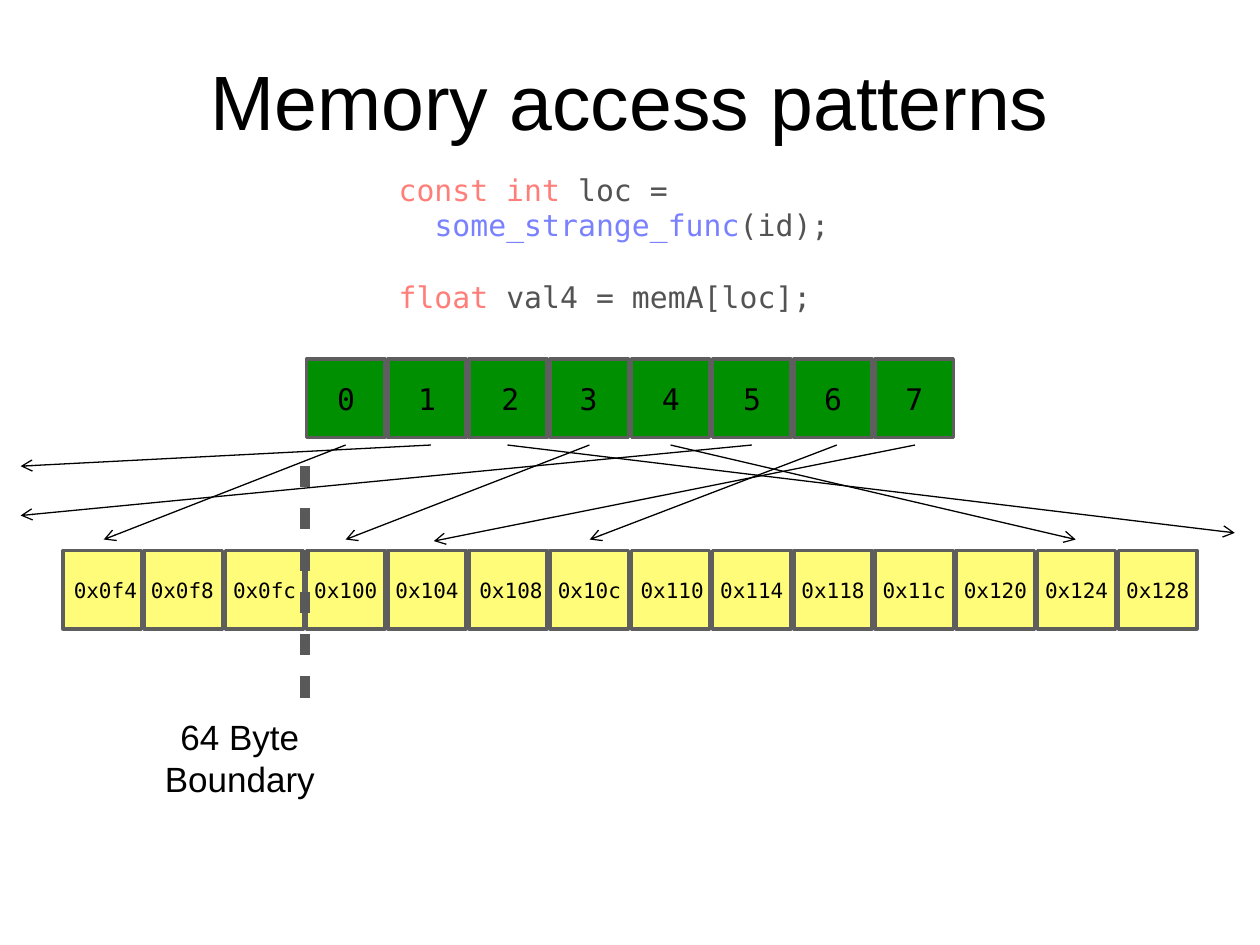
from dataclasses import dataclass

from lxml import etree
from pptx import Presentation
from pptx import util as u
from pptx.dml.color import RGBColor
from pptx.enum import shapes, text
from pptx.oxml import ns

COLOURS = {
    "black": "000000",
    "code": "535353",
    "keyword": "FF7E79",
    "function": "7A81FF",
    "border": "5E5E5E",
    "boundary": "595959",
    "thread": "008F00",
    "memory": "FFFC79",
}
SANS, MONO = "Arial", "DejaVu Sans Mono"
LEFT, PITCH, CELL = 36, 46.4, 44.8
FIRST_THREAD = 3
ARROW_START = 254.3


@dataclass(frozen=True)
class Row:
    labels: tuple[str, ...]
    first: int
    top: float
    fill: str
    size: float
    label_width: float
    label_height: float


@dataclass(frozen=True)
class Line:
    start: tuple[float, float]
    end: tuple[float, float]
    colour: str = "black"
    width: float = 0.75


@dataclass(frozen=True)
class CodeLine:
    spans: tuple[tuple[str, str], ...]
    space_before: float = 0


THREADS = Row(tuple("01234567"), FIRST_THREAD, 205.2, "thread", 17, 16, 26)
MEMORY = Row(
    tuple(f"0x{address:03x}" for address in range(0x0F4, 0x12C, 4)),
    0, 314.6, "memory", 12, 42.5, 20,
)
NUDGES = {"2": 1.1, "3": -0.6, "0x0f4": 1.8, "0x0f8": -0.6, "0x108": 1.6, "0x110": 0.9}
BOUNDARY = Line((174.4, 266.4), (174.4, 407.5), "boundary", 6)
ACCESSES = tuple(
    Line((start, ARROW_START), end)
    for start, end in (
        (197.5, (59.3, 308.3)),
        (290, (705.6, 304.5)),
        (246.2, (11.8, 266.4)),
        (336.8, (197.5, 308.3)),
        (383.2, (614.7, 308.3)),
        (429.6, (11.8, 294.6)),
        (478.2, (337, 308.3)),
        (522.9, (247.9, 309.2)),
    )
)
CODE = (
    CodeLine((("const int", "keyword"), (" loc =", "code"))),
    CodeLine((("  ", "code"), ("some_strange_func", "function"), ("(id);", "code"))),
    CodeLine((("float", "keyword"), (" val4 = memA[loc];", "code")), 20.4),
)


def rgb(colour: str) -> RGBColor:
    """Return the named colour."""
    return RGBColor.from_string(COLOURS[colour])


def add_box(page, left: float, top: float, width: float, height: float,
            inset: float = 0, wrap: bool = True, middle: bool = False):
    """Add an empty text box and return its text frame."""
    frame = page.shapes.add_textbox(
        u.Pt(left), u.Pt(top), u.Pt(width), u.Pt(height)).text_frame
    frame.margin_left = frame.margin_right = u.Pt(inset)
    frame.margin_top = frame.margin_bottom = u.Pt(inset)
    frame.word_wrap = wrap
    frame.vertical_anchor = text.MSO_ANCHOR.MIDDLE if middle else text.MSO_ANCHOR.TOP
    return frame


def add_span(para, words: str, size: float, font: str, colour: str = "black") -> None:
    """Add one formatted run to a paragraph."""
    span = para.add_run()
    span.text = words
    span.font.size = u.Pt(size)
    span.font.name = font
    span.font.color.rgb = rgb(colour)


def add_centred(frame, words: str, size: float, font: str):
    """Write one centred paragraph into a text frame and return it."""
    para = frame.paragraphs[0]
    para.alignment = text.PP_ALIGN.CENTER
    add_span(para, words, size, font)
    return para


def add_code(page, lines: tuple[CodeLine, ...]) -> None:
    """Add the highlighted code listing."""
    frame = add_box(page, 172.8, 97.9, 374.4, 92.9)
    for index, line in enumerate(lines):
        para = frame.add_paragraph() if index else frame.paragraphs[0]
        properties = para._p.get_or_add_pPr()
        properties.set("marL", str(u.Pt(36)))
        properties.set("indent", str(u.Pt(19)))
        para.line_spacing = u.Pt(20.4)
        para.space_before = u.Pt(line.space_before)
        for words, colour in line.spans:
            add_span(para, words, 17, MONO, colour)


def add_cells(page, row: Row) -> None:
    """Draw the squares of a row."""
    for column in range(row.first, row.first + len(row.labels)):
        cell = page.shapes.add_shape(
            shapes.MSO_SHAPE.RECTANGLE, u.Pt(LEFT + column * PITCH),
            u.Pt(row.top), u.Pt(CELL), u.Pt(CELL))
        cell.shadow.inherit = False
        cell.fill.solid()
        cell.fill.fore_color.rgb = rgb(row.fill)
        cell.line.color.rgb = rgb("border")
        cell.line.width = u.Pt(2)


def add_labels(page, row: Row) -> None:
    """Write the labels over the squares of a row."""
    for column, label in enumerate(row.labels, row.first):
        left = LEFT + column * PITCH + (CELL - row.label_width) / 2
        frame = add_box(
            page, left + NUDGES.get(label, 0), row.top + (CELL - row.label_height) / 2,
            row.label_width, row.label_height, 3, wrap=False, middle=True)
        add_centred(frame, label, row.size, MONO)


def add_line(page, line: Line):
    """Draw a straight line without shadow and return its line properties."""
    connector = page.shapes.add_connector(
        shapes.MSO_CONNECTOR.STRAIGHT, *map(u.Pt, line.start + line.end))
    connector.line.color.rgb = rgb(line.colour)
    connector.line.width = u.Pt(line.width)
    etree.SubElement(connector._element.spPr, ns.qn("a:effectLst"))
    return connector.line._get_or_add_ln()


def add_boundary(page) -> None:
    """Draw the dashed boundary and its caption."""
    dashes = etree.SubElement(add_line(page, BOUNDARY), ns.qn("a:custDash"))
    etree.SubElement(dashes, ns.qn("a:ds"), d="200000", sp="200000")
    frame = add_box(page, 91.4, 409, 91.4, 48, middle=True)
    add_centred(frame, "64 Byte Boundary", 20, SANS).line_spacing = u.Pt(24)


def main() -> None:
    """Build the memory access slide."""
    deck = Presentation()
    deck.slide_width, deck.slide_height = u.Pt(720), u.Pt(540)
    page = deck.slides.add_slide(deck.slide_layouts[6])
    add_code(page, CODE)
    for row in (THREADS, MEMORY):
        add_cells(page, row)
    add_boundary(page)
    for row in (THREADS, MEMORY):
        add_labels(page, row)
    for access in ACCESSES:
        etree.SubElement(add_line(page, access), ns.qn("a:tailEnd"), type="arrow")
    title = add_box(page, 36, 21.6, 648, 90, 9)
    add_centred(title, "Memory access patterns", 44, SANS)
    deck.save("out.pptx")


if __name__ == "__main__":
    main()
